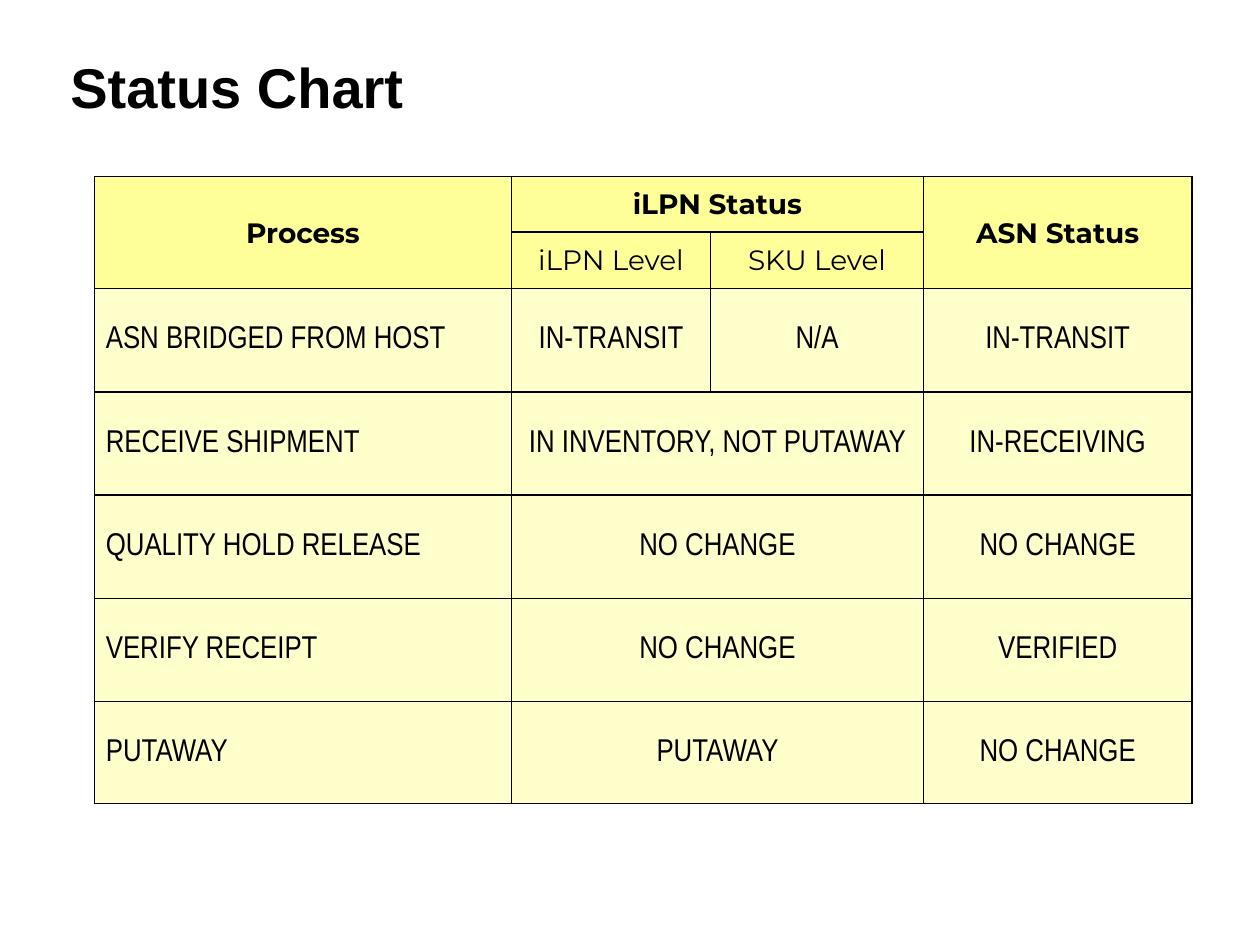
from lxml import etree
from pptx import Presentation
from pptx import util as u
from pptx.dml.color import RGBColor
from pptx.enum import text
from pptx.oxml import ns

BLACK = RGBColor(0x00, 0x00, 0x00)
BODY_TEXT = RGBColor(0x01, 0x00, 0x00)
HEADER_FILL = RGBColor(0xFF, 0xFF, 0x99)
BODY_FILL = RGBColor(0xFF, 0xFF, 0xCC)

COLUMN_WIDTHS = [3.31, 1.58, 1.69, 2.13]
HEADER_HEIGHTS = [0.44, 0.45]
BODY_HEIGHT = 0.82
LAST_HEIGHT = 0.81

# None marks a cell covered by the one to its left or above
HEADER_ROWS = [
    ["Process", "iLPN Status", None, "ASN Status"],
    [None, "iLPN Level", "SKU Level", None],
]
BODY_ROWS = [
    ["ASN BRIDGED FROM HOST", "IN-TRANSIT", "N/A", "IN-TRANSIT"],
    ["RECEIVE SHIPMENT", "IN INVENTORY, NOT PUTAWAY", None, "IN-RECEIVING"],
    ["QUALITY HOLD RELEASE", "NO CHANGE", None, "NO CHANGE"],
    ["VERIFY RECEIPT", "NO CHANGE", None, "VERIFIED"],
    ["PUTAWAY", "PUTAWAY", None, "NO CHANGE"],
]


class SlideBuilder:
    def __init__(self, slide):
        self.slide = slide

    def label(self, paragraph, words, font, size, color, bold=False, centered=False):
        paragraph.text = words
        paragraph.alignment = text.PP_ALIGN.CENTER if centered else text.PP_ALIGN.LEFT
        paragraph.font.name = font
        paragraph.font.size = u.Pt(size)
        paragraph.font.bold = bold
        paragraph.font.color.rgb = color

    def title(self, words, left, top, width, height):
        shape = self.slide.shapes.add_textbox(
            u.Inches(left), u.Inches(top), u.Inches(width), u.Inches(height))
        frame = shape.text_frame
        frame.word_wrap = True
        frame.vertical_anchor = text.MSO_ANCHOR.MIDDLE
        self.label(frame.paragraphs[0], words, "Arial", 32, BLACK, bold=True)

    def table(self, left, top, widths, heights):
        table = self.slide.shapes.add_table(
            len(heights), len(widths), u.Inches(left), u.Inches(top),
            u.Inches(sum(widths)), u.Inches(sum(heights))).table
        for column, width in zip(table.columns, widths):
            column.width = u.Inches(width)
        for row, height in zip(table.rows, heights):
            row.height = u.Inches(height)
        return table

    def cell(self, cell, fill, left_inset=0.01):
        self.borders(cell)
        cell.fill.solid()
        cell.fill.fore_color.rgb = fill
        cell.vertical_anchor = text.MSO_ANCHOR.MIDDLE
        cell.margin_left = u.Inches(left_inset)
        cell.margin_top = cell.margin_right = u.Inches(0.01)
        cell.margin_bottom = 0

    def borders(self, cell):
        properties = cell._tc.get_or_add_tcPr()
        for side in ("a:lnL", "a:lnR", "a:lnT", "a:lnB"):
            line = etree.SubElement(properties, ns.qn(side), w=str(u.Pt(1)))
            fill = etree.SubElement(line, ns.qn("a:solidFill"))
            etree.SubElement(fill, ns.qn("a:srgbClr"), val=str(BLACK))


def main():
    presentation = Presentation()
    presentation.slide_width = u.Inches(10)
    presentation.slide_height = u.Inches(7.5)
    builder = SlideBuilder(presentation.slides.add_slide(presentation.slide_layouts[6]))

    # Title
    builder.title("Status Chart", 0.46, 0.35, 8.78, 0.67)

    # Table grid
    heights = HEADER_HEIGHTS + [BODY_HEIGHT] * (len(BODY_ROWS) - 1) + [LAST_HEIGHT]
    table = builder.table(0.75, 1.4, COLUMN_WIDTHS, heights)

    # Header cells: the top row is bold
    for row, labels in enumerate(HEADER_ROWS):
        for column, words in enumerate(labels):
            cell = table.cell(row, column)
            builder.cell(cell, HEADER_FILL)
            if words:
                builder.label(cell.text_frame.paragraphs[0], words, "Montserrat", 16,
                              BLACK, bold=row == 0, centered=True)

    # Body cells: process names are left-aligned, statuses centred
    for row, labels in enumerate(BODY_ROWS, start=len(HEADER_ROWS)):
        for column, words in enumerate(labels):
            cell = table.cell(row, column)
            builder.cell(cell, BODY_FILL, left_inset=0.01 if column else 0.09)
            if words:
                builder.label(cell.text_frame.paragraphs[0], words, "Arial Narrow", 18,
                              BODY_TEXT, centered=column > 0)

    # Merged cells
    for column in (0, 3):
        table.cell(0, column).merge(table.cell(1, column))
    for row, labels in enumerate(HEADER_ROWS + BODY_ROWS):
        if labels[1] and labels[2] is None:
            table.cell(row, 1).merge(table.cell(row, 2))

    presentation.save("out.pptx")


if __name__ == "__main__":
    main()
